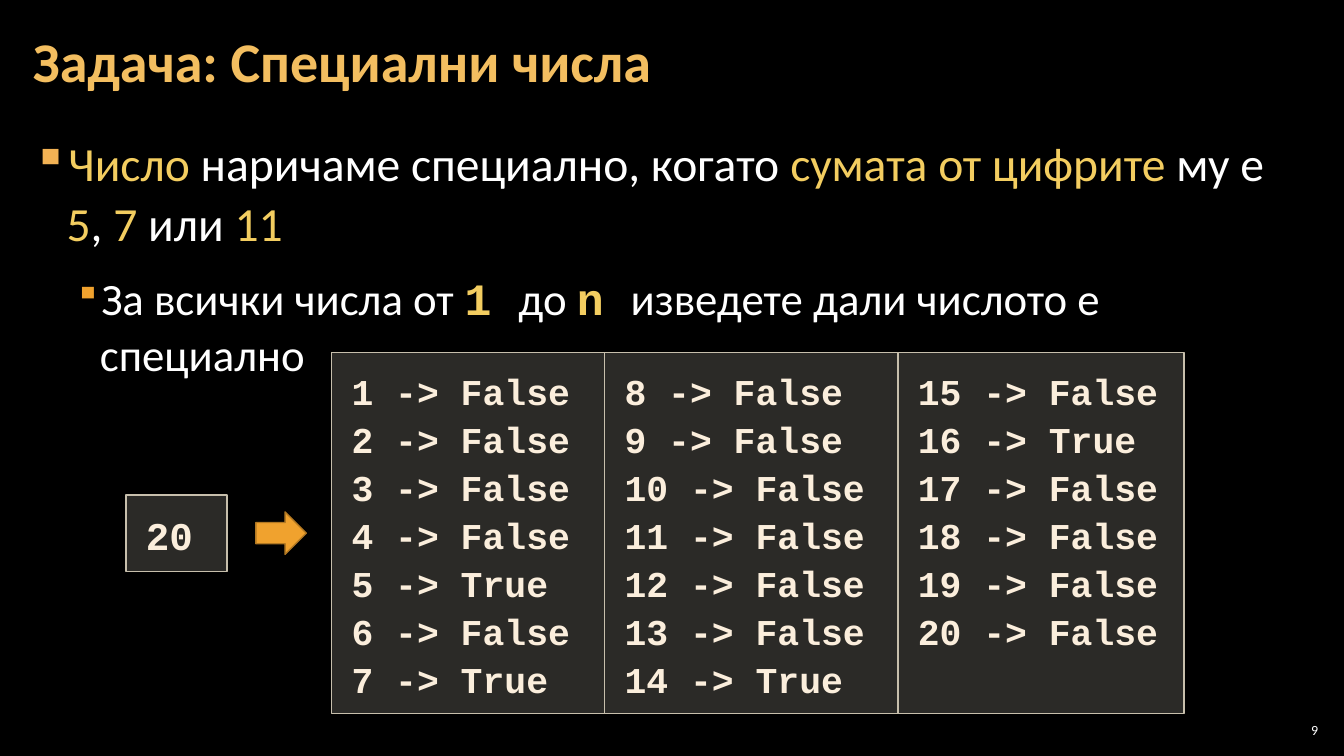
import pptx
import pptx.dml.color
import pptx.enum.shapes
import pptx.enum.text
import pptx.oxml.ns
import pptx.util
from lxml import etree
from pptx.util import Cm

WHITE, YELLOW, ORANGE = "FFFFFF", "F3CD60", "F0A22E"
TEXT_FONT, CODE_FONT = "Calibri", "Courier New"
PLAIN = (TEXT_FONT, WHITE, False)
ACCENT = (TEXT_FONT, YELLOW, False)
CODE = (CODE_FONT, YELLOW, True)


def rgb(color):
    return pptx.dml.color.RGBColor.from_string(color)


def add_xml(parent, tag, **attributes):
    return etree.SubElement(parent, pptx.oxml.ns.qn(tag), attributes)


def set_font(font, name, color, bold=False, size=None):
    font.name, font.bold = name, bold
    font.color.rgb = rgb(color)
    if size:
        font.size = pptx.util.Pt(size)


class SlideBuilder:
    def __init__(self, slide, background):
        self.slide = slide
        slide.background.fill.solid()
        slide.background.fill.fore_color.rgb = rgb(background)

    def frame(self, shape, inset_x, inset_y, anchor="TOP"):
        frame = shape.text_frame
        frame.word_wrap = True
        frame.margin_left = frame.margin_right = Cm(inset_x)
        frame.margin_top = frame.margin_bottom = Cm(inset_y)
        frame.vertical_anchor = getattr(pptx.enum.text.MSO_ANCHOR, anchor)
        return frame

    def label(self, box, text, size, color, bold=False, align="LEFT", spacing=1.0, inset=0.1):
        textbox = self.slide.shapes.add_textbox(*map(Cm, box))
        line = self.frame(textbox, inset, 0.1, "MIDDLE").paragraphs[0]
        line.text = text
        line.alignment = getattr(pptx.enum.text.PP_ALIGN, align)
        line.line_spacing = spacing
        set_font(line.font, TEXT_FONT, color, bold, size)

    def bullets(self, box, items):
        frame = self.frame(self.slide.shapes.add_textbox(*map(Cm, box)), 0.3, 0.1)
        for index, (level, size, margin, hanging, color, scale, runs) in enumerate(items):
            item = frame.add_paragraph() if index else frame.paragraphs[0]
            item.level = level
            properties = item._p.get_or_add_pPr()
            properties.set("marL", str(Cm(margin)))
            properties.set("indent", str(-Cm(hanging)))
            add_xml(add_xml(properties, "a:buClr"), "a:srgbClr", val=color)
            add_xml(properties, "a:buSzPct", val=str(scale * 1000))
            add_xml(properties, "a:buChar", char="▪")
            item.line_spacing = 1.05
            item.space_before = item.space_after = pptx.util.Pt(6)
            item.font.size = pptx.util.Pt(size)
            for text, style in runs:
                run = item.add_run()
                run.text = text
                set_font(run.font, *style)

    def shape(self, kind, box, fill, outline):
        kind = getattr(pptx.enum.shapes.MSO_SHAPE, kind)
        shape = self.slide.shapes.add_shape(kind, *map(Cm, box))
        shape.shadow.inherit = False
        shape.fill.solid()
        shape.fill.fore_color.rgb = rgb(fill)
        shape.line.color.rgb = rgb(outline)
        shape.line.width = pptx.util.Pt(1)
        return shape

    def code_panel(self, box, lines, size):
        panel = self.shape("RECTANGLE", box, "D9D5C7", "C7BFAC")
        fill_color = panel._element.spPr.find(".//" + pptx.oxml.ns.qn("a:srgbClr"))
        add_xml(fill_color, "a:alpha", val="20000")
        frame = self.frame(panel, 0.5, 0.3)
        for index, text in enumerate(lines):
            line = frame.add_paragraph() if index else frame.paragraphs[0]
            line.text = text
            line.alignment = pptx.enum.text.PP_ALIGN.LEFT
            line.line_spacing = 1.1
            set_font(line.font, CODE_FONT, "FBEEDC", True, size)


presentation = pptx.Presentation()
presentation.slide_width, presentation.slide_height = Cm(33.87), Cm(19.05)
builder = SlideBuilder(presentation.slides.add_slide(presentation.slide_layouts[6]), "000000")

# Slide number, task statement and title
builder.label((32.13, 18.14, 1.19, 0.53), "9", 10, WHITE, align="RIGHT")
definition = [
    ("Число ", ACCENT), ("наричаме специално, когато ", PLAIN),
    ("сумата от цифрите ", ACCENT), ("му е ", PLAIN), ("5", ACCENT),
    (", ", PLAIN), ("7 ", ACCENT), ("или ", PLAIN), ("11", ACCENT),
]
assignment = [
    ("За всички числа от ", PLAIN), ("1 ", CODE), ("до ", PLAIN),
    ("n ", CODE), ("изведете дали числото е специално", PLAIN),
]
builder.bullets((0.53, 3.2, 32.79, 15.47), [
    (0, 34, 0.85, 0.85, "F2B254", 100, definition),
    (1, 32, 1.69, 0.64, ORANGE, 80, assignment),
])
builder.label((0.53, 0.1, 26.59, 3.07), "Задача: Специални числа", 40, "F3BE60",
              bold=True, spacing=0.9, inset=0.3)

# Sample input and arrow
limit = 20
builder.code_panel((3.18, 12.47, 2.54, 1.93), [str(limit)], 28)
builder.shape("RIGHT_ARROW", (6.45, 12.9, 1.27, 1.07), ORANGE, "B27822")

# Sample output, seven numbers to a panel
results = [f"{number} -> {sum(map(int, str(number))) in (5, 7, 11)}"
           for number in range(1, limit + 1)]
rows = 7
left = 8.36
for column, width in enumerate((6.88, 7.39, 7.21)):
    builder.code_panel((left, 8.89, width, 9.09), results[column * rows:(column + 1) * rows], 26)
    left += width

presentation.save("out.pptx")
